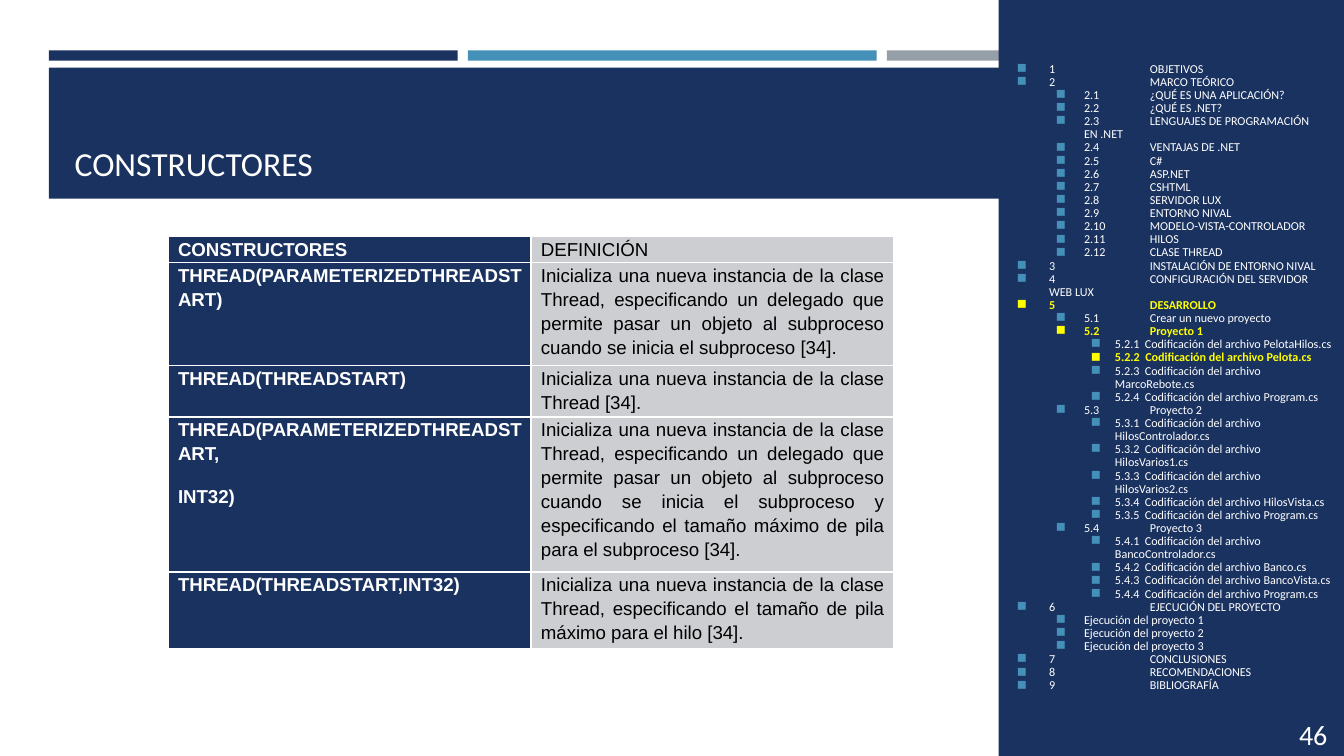
import pptx
import pptx.dml.color
import pptx.enum.shapes
import pptx.enum.text
import pptx.oxml.ns
import pptx.util
from lxml import etree

Pt = pptx.util.Pt
qn = pptx.oxml.ns.qn
ALIGN = pptx.enum.text.PP_ALIGN
ANCHOR = pptx.enum.text.MSO_ANCHOR

COLORS = {
    "navy": "1A3260",
    "blue": "4590B8",
    "gray": "969FA7",
    "cell": "CDCED2",
    "white": "FFFFFF",
    "black": "000000",
    "current": "FFFF00",
}
LEVELS = [(18, -17.28), (36.72, -15.12), (53.28, -12.96)]
CURRENT = {"5\tDESARROLLO", "5.2\tProyecto 1", "5.2.2  Codificación del archivo Pelota.cs"}
CODE = "Codificación del archivo"
OUTLINE = [
    (0, "1\tOBJETIVOS"),
    (0, "2\tMARCO TEÓRICO"),
    (1, "2.1\t¿QUÉ ES UNA APLICACIÓN?"),
    (1, "2.2\t¿QUÉ ES .NET?"),
    (1, "2.3\tLENGUAJES DE PROGRAMACIÓN EN .NET"),
    (1, "2.4\tVENTAJAS DE .NET"),
    (1, "2.5\tC#"),
    (1, "2.6\tASP.NET"),
    (1, "2.7\tCSHTML"),
    (1, "2.8\tSERVIDOR LUX"),
    (1, "2.9\tENTORNO NIVAL"),
    (1, "2.10\tMODELO-VISTA-CONTROLADOR"),
    (1, "2.11\tHILOS"),
    (1, "2.12\tCLASE THREAD"),
    (0, "3\tINSTALACIÓN DE ENTORNO NIVAL"),
    (0, "4\tCONFIGURACIÓN DEL SERVIDOR WEB LUX"),
    (0, "5\tDESARROLLO"),
    (1, "5.1\tCrear un nuevo proyecto"),
    (1, "5.2\tProyecto 1"),
    (2, f"5.2.1  {CODE} PelotaHilos.cs"),
    (2, f"5.2.2  {CODE} Pelota.cs"),
    (2, f"5.2.3  {CODE} MarcoRebote.cs"),
    (2, f"5.2.4  {CODE} Program.cs"),
    (1, "5.3\tProyecto 2"),
    (2, f"5.3.1  {CODE} HilosControlador.cs"),
    (2, f"5.3.2  {CODE} HilosVarios1.cs"),
    (2, f"5.3.3  {CODE} HilosVarios2.cs"),
    (2, f"5.3.4  {CODE} HilosVista.cs"),
    (2, f"5.3.5  {CODE} Program.cs"),
    (1, "5.4\tProyecto 3"),
    (2, f"5.4.1  {CODE} BancoControlador.cs"),
    (2, f"5.4.2  {CODE} Banco.cs"),
    (2, f"5.4.3  {CODE} BancoVista.cs"),
    (2, f"5.4.4  {CODE} Program.cs"),
    (0, "6\tEJECUCIÓN DEL PROYECTO"),
    (1, "Ejecución del proyecto 1"),
    (1, "Ejecución del proyecto 2"),
    (1, "Ejecución del proyecto 3"),
    (0, "7\tCONCLUSIONES"),
    (0, "8\tRECOMENDACIONES"),
    (0, "9\tBIBLIOGRAFÍA"),
]
INSTANCE = "Inicializa una nueva instancia de la clase Thread"
DELEGATE = (f"{INSTANCE}, especificando un delegado que permite pasar un objeto "
            "al subproceso cuando se inicia el subproceso")
CONSTRUCTORS = [
    (12.24, "CONSTRUCTORES", "DEFINICIÓN"),
    (51.84, "THREAD(PARAMETERIZEDTHREADSTART)", f"{DELEGATE} [34]."),
    (25.92, "THREAD(THREADSTART)", f"{INSTANCE} [34]."),
    (78.48, "THREAD(PARAMETERIZEDTHREADSTART,\nINT32)",
     f"{DELEGATE} y especificando el tamaño máximo de pila para el subproceso [34]."),
    (38.88, "THREAD(THREADSTART,INT32)",
     f"{INSTANCE}, especificando el tamaño de pila máximo para el hilo [34]."),
]


def rgb(color):
    """Return the named colour as an RGB value."""
    return pptx.dml.color.RGBColor.from_string(COLORS[color])


def style(paragraph, size, color, font="Calibri", bold=False):
    """Set the font of a whole paragraph."""
    paragraph.font.size = Pt(size)
    paragraph.font.name = font
    paragraph.font.bold = bold
    paragraph.font.color.rgb = rgb(color)


def add_block(slide, left, top, width, height, color):
    """Add a plain filled rectangle."""
    block = slide.shapes.add_shape(pptx.enum.shapes.MSO_SHAPE.RECTANGLE,
                                   Pt(left), Pt(top), Pt(width), Pt(height))
    block.shadow.inherit = False
    block.fill.solid()
    block.fill.fore_color.rgb = rgb(color)
    block.line.fill.background()


def add_text_frame(slide, left, top, width, height, anchor):
    """Add a wrapping text box and return its frame."""
    frame = slide.shapes.add_textbox(Pt(left), Pt(top), Pt(width), Pt(height)).text_frame
    frame.word_wrap = True
    frame.vertical_anchor = anchor
    frame.margin_left = frame.margin_right = Pt(5.4)
    frame.margin_top = frame.margin_bottom = Pt(2.7)
    return frame


def add_line(slide, left, top, width, height, anchor, text, size):
    """Add a single white line of text."""
    line = add_text_frame(slide, left, top, width, height, anchor).paragraphs[0]
    line.text = text
    style(line, size, "white")


def add_header(slide, left, top, width, height):
    """Place the three accent bars and the title band."""
    gap = 5.4
    bar_width = (width - 2 * gap) / 3
    for index, color in enumerate(("navy", "blue", "gray")):
        add_block(slide, left + index * (bar_width + gap), top, bar_width, 5.5, color)
    add_block(slide, left, top + 9.2, width, height - 9.2, "navy")
    add_line(slide, left + 8.4, top + 14, 504, 60, ANCHOR.BOTTOM, "CONSTRUCTORES", 18)


def add_bullet(paragraph, level, color):
    """Give an outline entry its indent, square bullet and tab stop."""
    margin, indent = LEVELS[level]
    properties = paragraph._p.get_or_add_pPr()
    properties.set("marL", str(Pt(margin)))
    properties.set("indent", str(Pt(indent)))
    bullet_color = etree.SubElement(properties, qn("a:buClr"))
    etree.SubElement(bullet_color, qn("a:srgbClr"), val=COLORS[color])
    etree.SubElement(properties, qn("a:buChar"), char="◼")
    tabs = etree.SubElement(properties, qn("a:tabLst"))
    etree.SubElement(tabs, qn("a:tab"), pos=str(Pt(72)), algn="l")


def add_sidebar(slide, left, top, width, height):
    """Place the outline panel with the page number."""
    add_block(slide, left, top, width, height, "navy")
    frame = add_text_frame(slide, left + 3.6, top + 14.4, width - 3.6, 375.84, ANCHOR.MIDDLE)
    for index, (level, entry) in enumerate(OUTLINE):
        paragraph = frame.add_paragraph() if index else frame.paragraphs[0]
        paragraph.text = entry
        paragraph.level = level
        paragraph.line_spacing = 0.9
        current = entry in CURRENT
        add_bullet(paragraph, level, "current" if current else "blue")
        style(paragraph, 6.5, "current" if current else "white", bold=current)
    add_line(slide, left + width - 29.5, top + 381.6, 29.5, 23.76, ANCHOR.TOP, "46", 15)


def fill_cell(cell, text, fill, color, bold):
    """Write a table cell with white borders."""
    cell.text = text
    cell.margin_left = cell.margin_right = Pt(5.4)
    cell.margin_top = cell.margin_bottom = 0
    for paragraph in cell.text_frame.paragraphs:
        paragraph.alignment = ALIGN.LEFT if text == "DEFINICIÓN" else ALIGN.JUSTIFY
        paragraph.line_spacing = 1.15
        paragraph.space_after = Pt(10)
        style(paragraph, 10, color, "Arial", bold)
    properties = cell._tc.get_or_add_tcPr()
    for side in ("lnL", "lnR", "lnT", "lnB"):
        border = etree.SubElement(properties, qn(f"a:{side}"), w=str(Pt(1)))
        border_fill = etree.SubElement(border, qn("a:solidFill"))
        etree.SubElement(border_fill, qn("a:srgbClr"), val=COLORS["white"])
    cell.fill.solid()
    cell.fill.fore_color.rgb = rgb(fill)


def add_constructors(slide, left, top, width, height):
    """Place the table of constructors and definitions."""
    table = slide.shapes.add_table(len(CONSTRUCTORS), 2, Pt(left), Pt(top),
                                   Pt(width), Pt(height)).table
    for row, (row_height, constructor, definition) in enumerate(CONSTRUCTORS):
        table.rows[row].height = Pt(row_height)
        fill_cell(table.cell(row, 0), constructor, "navy", "white", True)
        fill_cell(table.cell(row, 1), definition, "cell", "black", False)


def main():
    """Build and save the slide."""
    deck = pptx.Presentation()
    deck.slide_width, deck.slide_height = Pt(720), Pt(405)
    slide = deck.slides.add_slide(deck.slide_layouts[6])
    add_header(slide, 26.2, 27, 668, 79.4)
    add_sidebar(slide, 535, 0, 185, 405)
    add_constructors(slide, 90, 126.72, 388.8, 207.36)
    deck.save("out.pptx")


if __name__ == "__main__":
    main()
